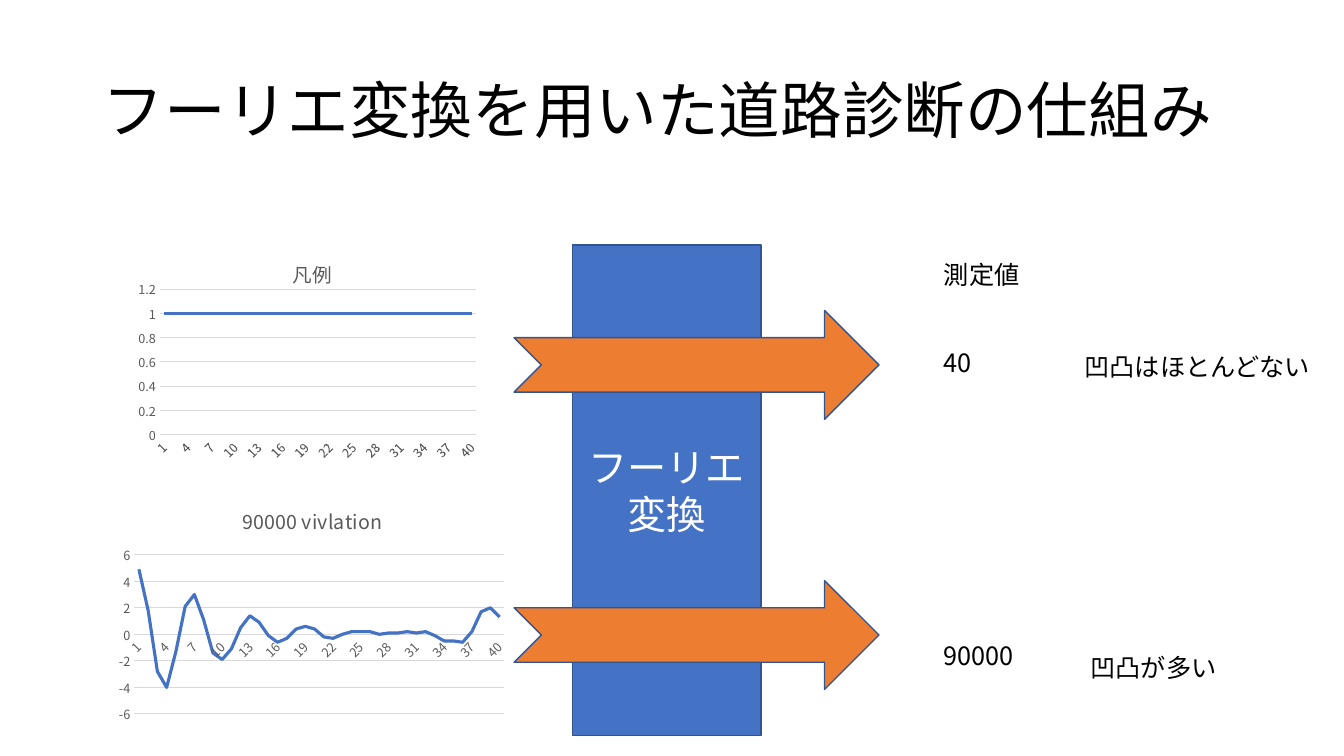
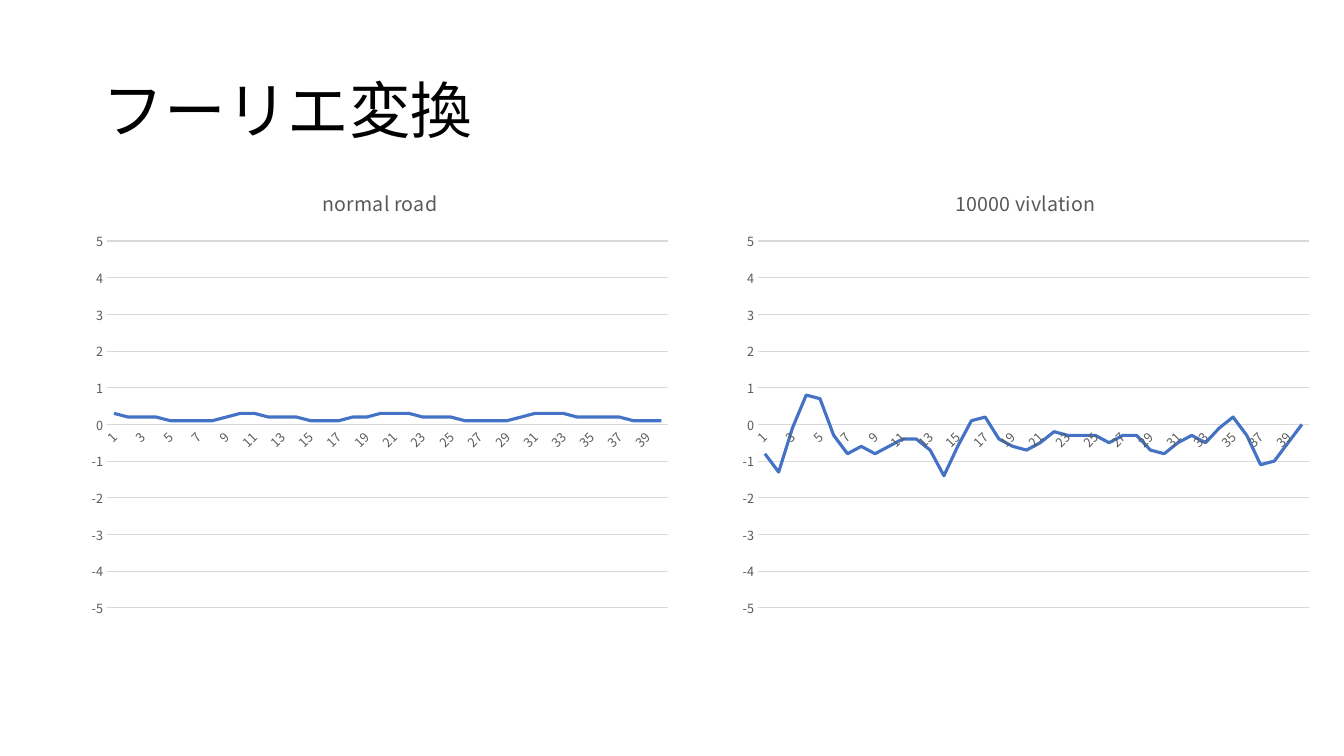
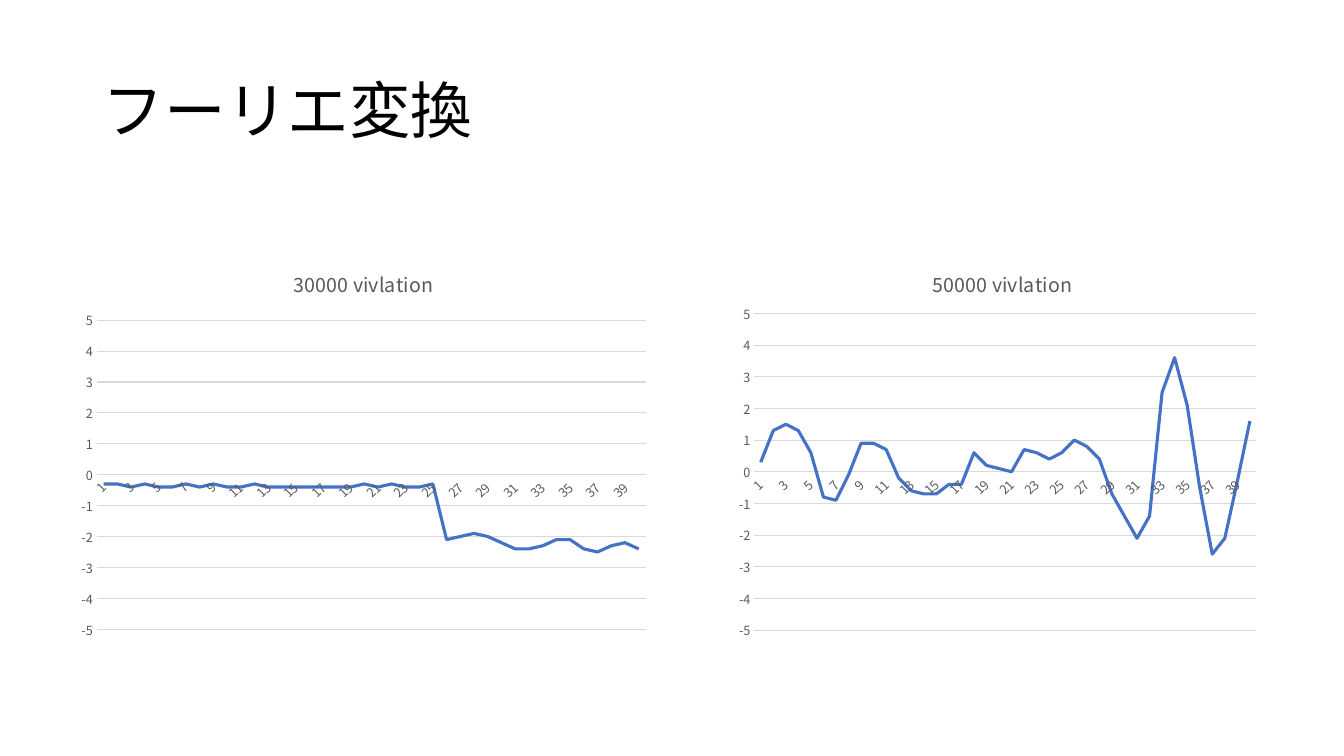
from lxml.etree import SubElement
from pptx import Presentation
from pptx.chart.data import CategoryChartData
from pptx.dml.color import RGBColor
from pptx.enum.chart import XL_CHART_TYPE as ChartType, XL_TICK_MARK as TickMark
from pptx.enum.shapes import MSO_SHAPE as Preset
from pptx.enum.text import MSO_ANCHOR as Anchor, MSO_AUTO_SIZE as AutoSize, PP_ALIGN as Align
from pptx.oxml import parse_xml
from pptx.oxml.ns import nsdecls, qn
from pptx.util import Inches, Pt


def rgb(code):
    return RGBColor.from_string(code)


def assign(target, **values):
    for attribute, value in values.items():
        setattr(target, attribute, value)


class Deck:
    FONT = "Noto Sans CJK JP"
    BLACK, WHITE, GREY, GRID = "000000", "FFFFFF", "595959", "D9D9D9"
    BLUE, ORANGE, OUTLINE = "4472C4", "ED7D31", "325491"
    TITLE_BOX = (6.9, 5.33, 86.25, 19.33)

    def __init__(self):
        self.show = Presentation()
        assign(self.show, slide_width=Inches(13.33), slide_height=Inches(7.5))
        self.slide = None

    def place(self, left, top, width, height):
        across, down = self.show.slide_width / 100, self.show.slide_height / 100
        return [int(share * side) for share, side in
                zip((left, top, width, height), (across, down, across, down))]

    def style(self, font, size, color):
        assign(font, name=self.FONT, size=Pt(size), bold=False)
        font.color.rgb = rgb(color)

    def use_east_asian_font(self, element):
        for latin in element.xpath(".//a:latin"):
            latin.addnext(parse_xml(f'<a:ea {nsdecls("a")} typeface="{self.FONT}"/>'))

    def stroke(self, line, color, width):
        line.color.rgb = rgb(color)
        line.width = Pt(width)

    def set_text(self, shape, text, size, color, align=Align.LEFT, spacing=None, **frame):
        assign(shape.text_frame, **frame)
        paragraph = shape.text_frame.paragraphs[0]
        assign(paragraph, alignment=align, line_spacing=spacing)
        run = paragraph.add_run()
        run.text = text
        self.style(run.font, size, color)
        self.use_east_asian_font(shape.element)

    def new_slide(self, heading):
        self.slide = self.show.slides.add_slide(self.show.slide_layouts[5])
        title = self.slide.shapes.title
        assign(title, **dict(zip(("left", "top", "width", "height"),
                                 self.place(*self.TITLE_BOX))))
        self.set_text(title, heading, 44, self.BLACK, spacing=0.9, word_wrap=True,
                      auto_size=AutoSize.NONE, vertical_anchor=Anchor.MIDDLE)

    def block(self, preset, box, color, text=""):
        shape = self.slide.shapes.add_shape(preset, *self.place(*box))
        shape.shadow.inherit = False
        shape.fill.solid()
        shape.fill.fore_color.rgb = rgb(color)
        self.stroke(shape.line, self.OUTLINE, 1)
        if text:
            self.set_text(shape, text, 28, self.WHITE, Align.CENTER, word_wrap=True,
                          vertical_anchor=Anchor.MIDDLE)

    def label(self, left, top, width, text):
        box = self.slide.shapes.add_textbox(*self.place(left, top, width, 5.33))
        self.set_text(box, text, 18, self.BLACK, word_wrap=False,
                      auto_size=AutoSize.SHAPE_TO_FIT_TEXT)

    def line_chart(self, box, heading, values, limits=None, plot=None):
        data = CategoryChartData()
        data.categories = [str(number) for number in range(1, len(values) + 1)]
        data.add_series("Series 1", values)
        chart = self.slide.shapes.add_chart(ChartType.LINE, *self.place(*box), data).chart
        chart.has_legend = False
        self.style(chart.font, 10, self.BLACK)

        chart.has_title = True
        frame = chart.chart_title.text_frame
        frame.text = heading
        self.style(frame.paragraphs[0].runs[0].font, 14, self.GREY)

        for axis in (chart.category_axis, chart.value_axis):
            assign(axis, major_tick_mark=TickMark.NONE, minor_tick_mark=TickMark.NONE)
            self.style(axis.tick_labels.font, 9, self.GREY)
        self.stroke(chart.category_axis.format.line, self.GRID, 0.75)
        chart.value_axis.format.line.fill.background()
        chart.value_axis.has_major_gridlines = True
        self.stroke(chart.value_axis.major_gridlines.format.line, self.GRID, 0.75)
        if limits:
            assign(chart.value_axis, minimum_scale=limits[0], maximum_scale=limits[1])

        chart.plots[0].vary_by_categories = False
        series = chart.plots[0].series[0]
        series.smooth = False
        self.stroke(series.format.line, self.BLUE, 2.25)

        root = chart.element
        root.xpath(".//c:catAx/c:txPr/a:bodyPr")[0].set("rot", "-2700000")
        self.use_east_asian_font(root)
        if plot:
            self.fix_plot(root.xpath(".//c:plotArea")[0], plot)

    def fix_plot(self, area, plot):
        for automatic in area.findall(qn("c:layout")):
            area.remove(automatic)
        layout = parse_xml(f'<c:layout {nsdecls("c")}><c:manualLayout/></c:layout>')
        settings = [("layoutTarget", "inner"), ("xMode", "edge"), ("yMode", "edge"),
                    *zip("xywh", plot)]
        for tag, value in settings:
            SubElement(layout[0], qn(f"c:{tag}")).set("val", str(value))
        area.insert(0, layout)


FLAT_ROAD = [1] * 40
VIBRATION_90000 = [
    4.9, 1.8, -2.8, -4, -1.3, 2.1, 3, 1.1, -1.4, -1.9, -1.1, 0.5, 1.4, 0.9, -0.1, -0.6, -0.3,
    0.4, 0.6, 0.4, -0.2, -0.3, 0, 0.2, 0.2, 0.2, 0, 0.1, 0.1, 0.2, 0.1, 0.2, -0.1, -0.5, -0.5,
    -0.6, 0.2, 1.7, 2, 1.3]
NORMAL_ROAD = [
    0.3, 0.2, 0.2, 0.2, 0.1, 0.1, 0.1, 0.1, 0.2, 0.3, 0.3, 0.2, 0.2, 0.2, 0.1, 0.1, 0.1, 0.2,
    0.2, 0.3, 0.3, 0.3, 0.2, 0.2, 0.2, 0.1, 0.1, 0.1, 0.1, 0.2, 0.3, 0.3, 0.3, 0.2, 0.2, 0.2,
    0.2, 0.1, 0.1, 0.1]
VIBRATION_10000 = [
    -0.8, -1.3, -0.1, 0.8, 0.7, -0.3, -0.8, -0.6, -0.8, -0.6, -0.4, -0.4, -0.7, -1.4, -0.6, 0.1,
    0.2, -0.4, -0.6, -0.7, -0.5, -0.2, -0.3, -0.3, -0.3, -0.5, -0.3, -0.3, -0.7, -0.8, -0.5,
    -0.3, -0.5, -0.1, 0.2, -0.3, -1.1, -1, -0.5, 0]
VIBRATION_30000 = [
    -0.3, -0.3, -0.4, -0.3, -0.4, -0.4, -0.3, -0.4, -0.3, -0.4, -0.4, -0.3, -0.4, -0.4, -0.4,
    -0.4, -0.4, -0.4, -0.4, -0.3, -0.4, -0.3, -0.4, -0.4, -0.3, -2.1, -2, -1.9, -2, -2.2, -2.4,
    -2.4, -2.3, -2.1, -2.1, -2.4, -2.5, -2.3, -2.2, -2.4]
VIBRATION_50000 = [
    0.3, 1.3, 1.5, 1.3, 0.6, -0.8, -0.9, -0.1, 0.9, 0.9, 0.7, -0.2, -0.6, -0.7, -0.7, -0.4, -0.4,
    0.6, 0.2, 0.1, 0, 0.7, 0.6, 0.4, 0.6, 1, 0.8, 0.4, -0.7, -1.4, -2.1, -1.4, 2.5, 3.6, 2.1,
    -0.5, -2.6, -2.1, -0.3, 1.6]


def mechanism(deck):
    deck.new_slide("フーリエ変換を用いた道路診断の仕組み")
    deck.line_chart((10.05, 32.4, 26.4, 28.53), "凡例", FLAT_ROAD,
                    plot=(0.07, 0.21, 0.89, 0.69))
    deck.block(Preset.RECTANGLE, (42.6, 32.4, 14.03, 64.93), deck.BLUE, "フーリエ変換")
    deck.line_chart((8.25, 64.93, 30, 31.33), "90000 vivlation", VIBRATION_90000)
    for arrow_top in (41.07, 76.8):
        deck.block(Preset.NOTCHED_RIGHT_ARROW, (38.25, arrow_top, 27.15, 14.4), deck.ORANGE)
    for reading in ((69.45, 45.33, 3.6, "40"), (69.45, 84, 6.75, "90000"),
                    (79.95, 45.87, 18.53, "凹凸はほとんどない"),
                    (80.4, 85.6, 10.95, "凹凸が多い"), (69.5, 33.6, 7.2, "測定値")):
        deck.label(*reading)


def comparison(deck, top, height, *roads):
    deck.new_slide("フーリエ変換")
    for left, width, heading, values, plot in roads:
        deck.line_chart((left, top, width, height), heading, values, (-5, 5), plot)


def main():
    deck = Deck()
    mechanism(deck)
    comparison(deck, 22.27, 60.53,
               (5.93, 44.7, "normal road", NORMAL_ROAD, None),
               (54.38, 43.88, "10000 vivlation", VIBRATION_10000, None))
    comparison(deck, 33.07, 52.4,
               (5.18, 43.73, "30000 vivlation", VIBRATION_30000, None),
               (54.08, 41.03, "50000 vivlation", VIBRATION_50000, (0.05, 0.16, 0.91, 0.8)))
    deck.show.save("out.pptx")


if __name__ == "__main__":
    main()
